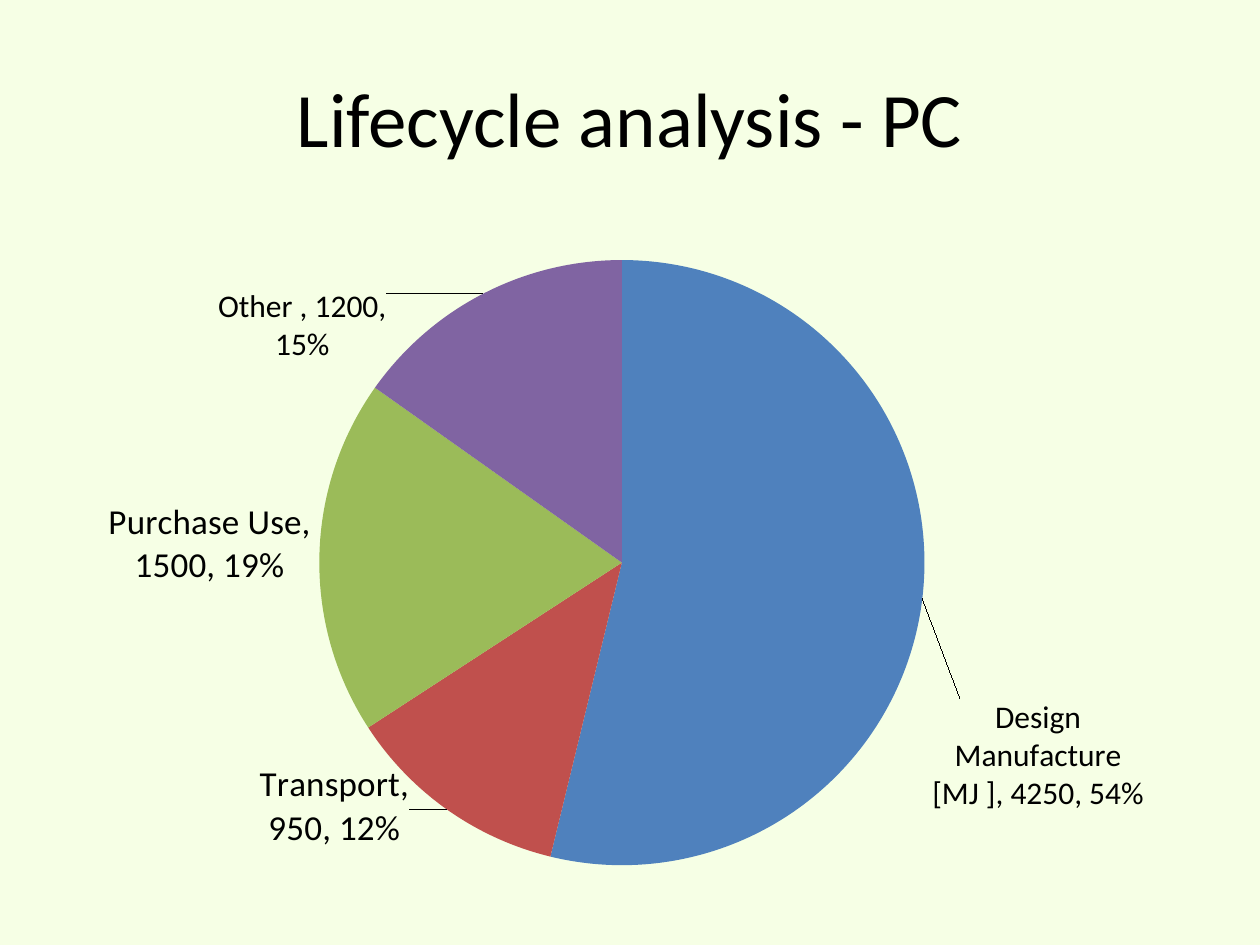
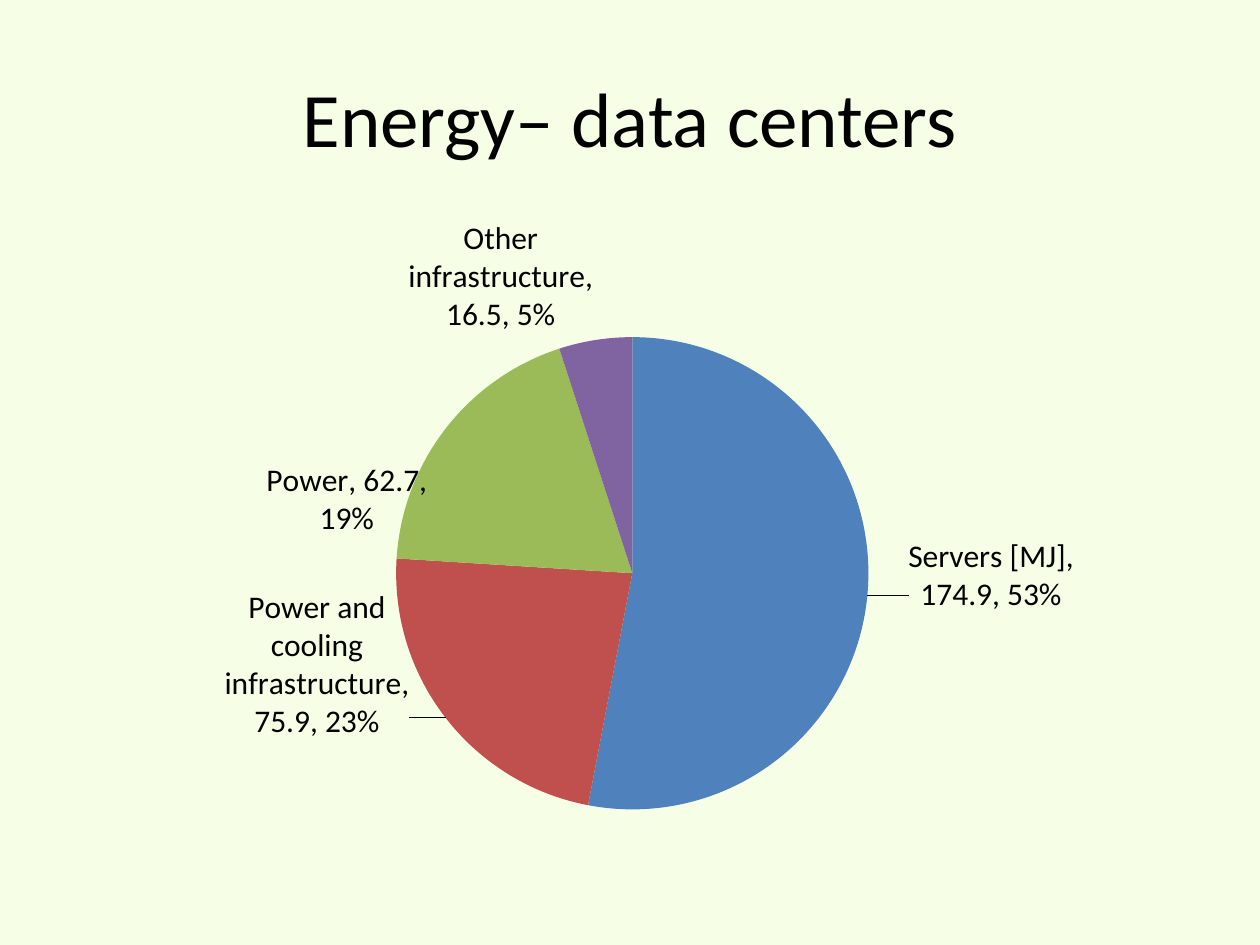
import lxml.etree
import pptx
import pptx.chart.data
import pptx.dml.color
import pptx.enum.chart
import pptx.enum.text
import pptx.oxml
import pptx.oxml.ns
import pptx.util

HUES = {"page": "F6FFE5", "ink": "000000", "blue": "4F81BD",
        "red": "C0504D", "green": "9BBB59", "plum": "8064A2"}
SLICES = ("blue", "red", "green", "plum")
FACE = "Calibri"


def color(name):
    return pptx.dml.color.RGBColor.from_string(HUES[name])


def style(font, size, ink="ink"):
    font.name = FACE
    font.size = pptx.util.Pt(size)
    font.color.rgb = color(ink)


def write(frame, text, size=18, ink="ink", align="CENTER", anchor="MIDDLE"):
    frame.word_wrap = True
    frame.vertical_anchor = getattr(pptx.enum.text.MSO_ANCHOR, anchor)
    para = frame.paragraphs[0]
    para.alignment = getattr(pptx.enum.text.PP_ALIGN, align)
    run = para.add_run()
    run.text = text
    style(run.font, size, ink)


def tag(name):
    return pptx.oxml.ns.qn("c:" + name)


def layout(**items):
    root = lxml.etree.Element(tag("layout"))
    manual = lxml.etree.SubElement(root, tag("manualLayout"))
    for name, value in items.items():
        lxml.etree.SubElement(manual, tag(name)).set("val", str(value))
    return root


def share(percent):
    return round(percent / 100, 4)


class Deck:
    def __init__(self):
        self.show = pptx.Presentation()
        self.show.slide_width = pptx.util.Inches(10)
        self.show.slide_height = pptx.util.Inches(7.5)
        fill = self.show.slide_master.background.fill
        fill.solid()
        fill.fore_color.rgb = color("page")
        self.slide = None

    def box(self, left, top, width, height):
        wide, high = self.show.slide_width, self.show.slide_height
        return [round(part * size / 100) for part, size in
                zip((left, top, width, height), (wide, high, wide, high))]

    def page(self, title):
        self.slide = self.show.slides.add_slide(self.show.slide_layouts[5])
        head = self.slide.shapes.title
        head.left, head.top, head.width, head.height = self.box(5, 4, 90, 16.67)
        write(head.text_frame, title, size=44)

    def pie(self, box, plot, rows):
        data = pptx.chart.data.CategoryChartData()
        data.categories = [row[0] for row in rows]
        data.add_series("Series 1", [row[1] for row in rows])
        kind = pptx.enum.chart.XL_CHART_TYPE.PIE
        chart = self.slide.shapes.add_chart(kind, *self.box(*box), data).chart
        chart.has_title = False
        chart.has_legend = False
        style(chart.font, 10)
        chart.plots[0].vary_by_categories = True
        self.place(chart, plot)
        series = chart.plots[0].series[0]
        for spot, (row, hue) in enumerate(zip(rows, SLICES)):
            point = series.points[spot]
            point.format.fill.solid()
            point.format.fill.fore_color.rgb = color(hue)
            point.format.line.fill.background()
            self.label(point.data_label, row[2])
        self.detail(chart, rows)

    def place(self, chart, plot):
        area = chart.element.find(".//" + tag("plotArea"))
        old = area.find(tag("layout"))
        if old is not None:
            area.remove(old)
        x, y, w, h = map(share, plot)
        area.insert(0, layout(layoutTarget="inner", xMode="edge", yMode="edge",
                              x=x, y=y, w=w, h=h))

    def label(self, label, size):
        style(label.font, size)
        label.position = pptx.enum.chart.XL_LABEL_POSITION.BEST_FIT

    def detail(self, chart, rows):
        root = chart.element
        for name in ("showVal", "showCatName", "showPercent", "showLeaderLines"):
            for node in root.iter(tag(name)):
                node.set("val", "1")
        for node, row in zip(root.iter(tag("dLbl")), rows):
            x, y = map(share, row[3])
            node.find(tag("idx")).addnext(layout(x=x, y=y))
            mark = lxml.etree.Element(tag("separator"))
            mark.text = ", "
            node.find(tag("showBubbleSize")).addnext(mark)


def main():
    deck = Deck()
    deck.page("Lifecycle analysis - PC")
    deck.pie((5, 18.93, 85.8, 81.07), (23.7, 10.6, 56, 79), [
        ("Design Manufacture [MJ ]", 4250, 18, (2.8, 12.9)),
        ("Transport", 950, 20, (-3.1, -6.9)),
        ("Purchase Use", 1500, 20, (-0.1, -1.7)),
        ("Other ", 1200, 18, (-8.6, 9.9))])
    deck.page("Energy– data centers")
    deck.pie((9.2, 21.07, 83.3, 76.67), (26.7, 19, 45, 65.3), [
        ("Servers [MJ]", 174.9, 18, (3.2, -8.1)),
        ("Power and cooling infrastructure", 75.9, 18, (-2.9, -18.5)),
        ("Power", 62.7, 18, (-1.2, 15.6)),
        ("Other infrastructure", 16.5, 18, (-0.1, 0.1))])
    deck.show.save("out.pptx")


if __name__ == "__main__":
    main()
